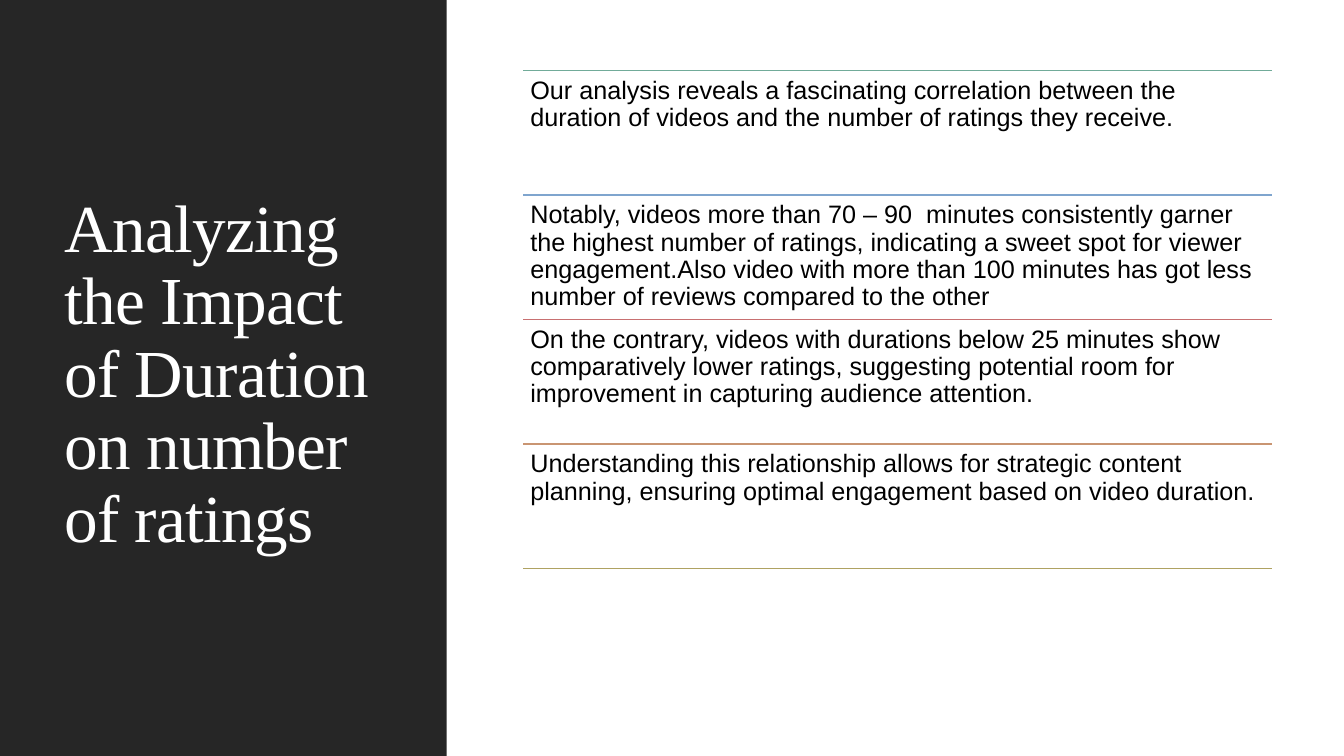
from dataclasses import dataclass

from lxml.etree import SubElement
from pptx import Presentation
from pptx.dml.color import RGBColor
from pptx.enum.shapes import MSO_CONNECTOR, MSO_SHAPE
from pptx.enum.text import MSO_ANCHOR
from pptx.oxml.ns import qn
from pptx.slide import Slide
from pptx.util import Inches, Pt


@dataclass(frozen=True)
class Theme:
    dark: str = "262626"
    light: str = "FFFFFF"
    ink: str = "000000"
    head: str = "Times New Roman"
    body: str = "Arial"
    big: float = 48
    mid: float = 18
    rule: float = 1.25


@dataclass(frozen=True)
class Box:
    left: float
    top: float
    width: float
    height: float

    def emu(self) -> tuple[int, ...]:
        return tuple(Inches(n) for n in (self.left, self.top, self.width, self.height))


@dataclass(frozen=True)
class Point:
    color: str
    text: str


THEME = Theme()
WIDE, HIGH = 13.33, 7.5
PANEL = Box(0, 0, 4.43, HIGH)
TITLE = Box(0.54, 0.57, 3.37, 6.31)
GRID = Box(5.19, 0.7, 7.43, 4.94)
END = "AFA262"
POINTS = (
    Point("71AB99", "Our analysis reveals a fascinating correlation between the duration of videos "
          "and the number of ratings they receive."),
    Point("7FA5CE", "Notably, videos more than 70 – 90  minutes consistently garner the highest "
          "number of ratings, indicating a sweet spot for viewer engagement.Also video with more "
          "than 100 minutes has got less number of reviews compared to the other"),
    Point("C87071", "On the contrary, videos with durations below 25 minutes show comparatively "
          "lower ratings, suggesting potential room for improvement in capturing audience attention."),
    Point("C99572", "Understanding this relationship allows for strategic content planning, ensuring "
          "optimal engagement based on video duration."),
)


def add_text(slide: Slide, box: Box, text: str, *, font: str, size: float, color: str,
             anchor: MSO_ANCHOR = MSO_ANCHOR.TOP, pad: tuple[float, float] = (0.07, 0.07),
             after: float = 6, track: int = 0) -> None:
    """Add one paragraph; track is letter spacing in hundredths of a point."""
    frame = slide.shapes.add_textbox(*box.emu()).text_frame
    frame.word_wrap = True
    frame.vertical_anchor = anchor
    frame.margin_left = frame.margin_right = Inches(pad[0])
    frame.margin_top = frame.margin_bottom = Inches(pad[1])
    para = frame.paragraphs[0]
    para.line_spacing = 0.9
    para.space_after = Pt(after)
    run = para.add_run()
    run.text = text
    run.font.name = font
    run.font.size = Pt(size)
    run.font.color.rgb = RGBColor.from_string(color)
    if track:
        run.font._element.set("spc", str(track))


def add_panel(slide: Slide, box: Box, color: str) -> None:
    panel = slide.shapes.add_shape(MSO_SHAPE.RECTANGLE, *box.emu())
    panel.shadow.inherit = False
    panel.fill.solid()
    panel.fill.fore_color.rgb = RGBColor.from_string(color)
    panel.line.fill.background()


def add_rule(slide: Slide, top: float, color: str) -> None:
    left, right, y = Inches(GRID.left), Inches(GRID.left + GRID.width), Inches(top)
    rule = slide.shapes.add_connector(MSO_CONNECTOR.STRAIGHT, left, y, right, y)
    rule.line.color.rgb = RGBColor.from_string(color)
    rule.line.width = Pt(THEME.rule)
    SubElement(rule._element.spPr, qn("a:effectLst"))


def main() -> None:
    deck = Presentation()
    deck.slide_width, deck.slide_height = Inches(WIDE), Inches(HIGH)
    slide = deck.slides.add_slide(deck.slide_layouts[6])
    add_panel(slide, PANEL, THEME.dark)
    add_text(slide, TITLE, "Analyzing the Impact of Duration on number of ratings",
             font=THEME.head, size=THEME.big, color=THEME.light,
             anchor=MSO_ANCHOR.MIDDLE, pad=(0.1, 0.05), track=-50)
    row = GRID.height / len(POINTS)
    for i, point in enumerate(POINTS):
        top = GRID.top + i * row
        add_rule(slide, top, point.color)
        add_text(slide, Box(GRID.left, top, GRID.width, row), point.text,
                 font=THEME.body, size=THEME.mid, color=THEME.ink)
    add_rule(slide, GRID.top + GRID.height, END)
    deck.save("out.pptx")


if __name__ == "__main__":
    main()
